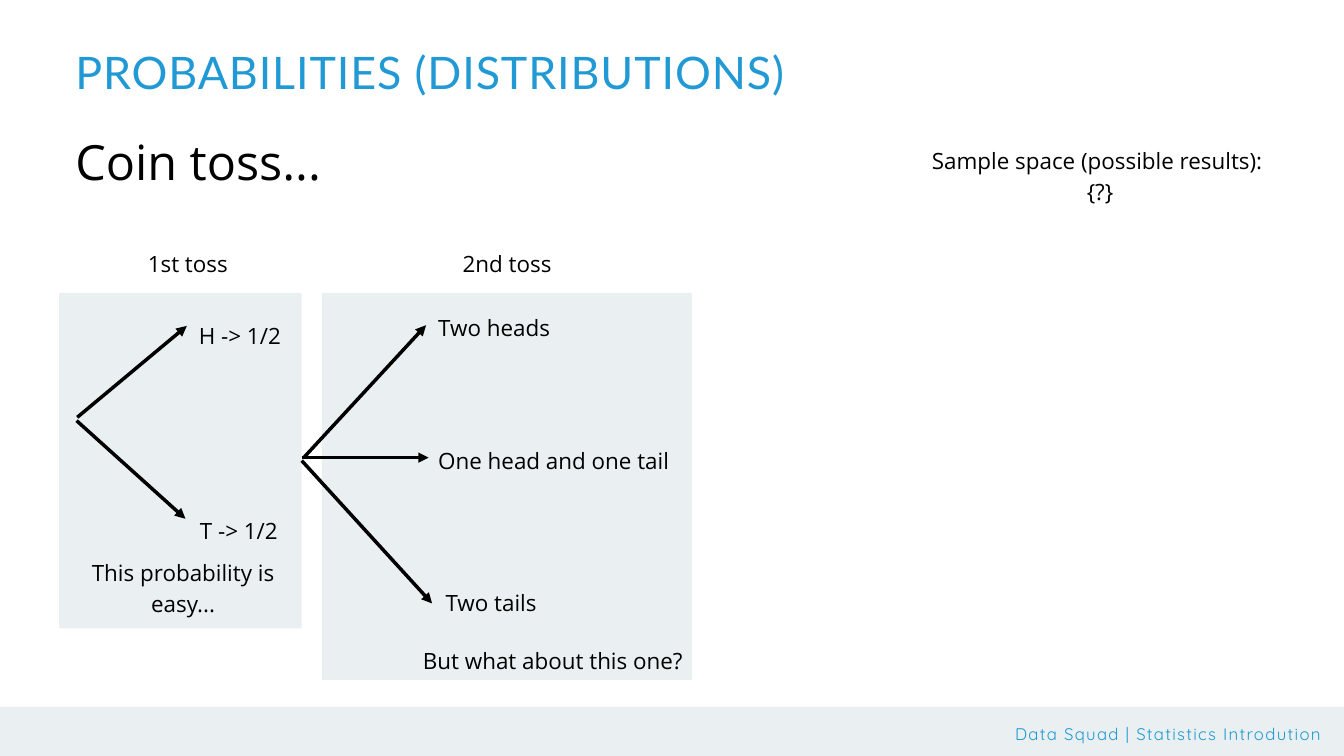
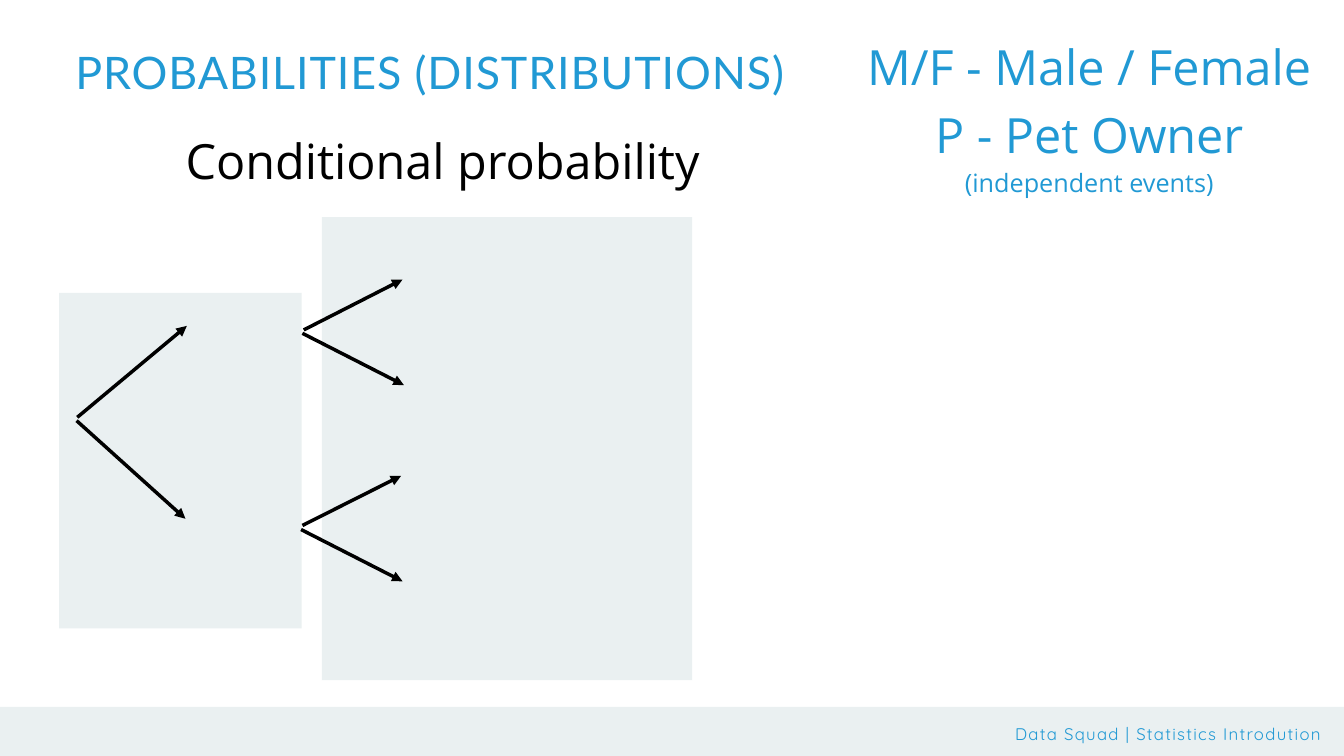
from lxml import etree
from pptx import Presentation
from pptx import util as u
from pptx.dml.color import RGBColor
from pptx.enum import shapes, text
from pptx.oxml.ns import qn

COLORS = {"accent": "2199D4", "panel": "EAF0F1", "ink": "000000", "page": "FFFFFF"}
TITLE = "PROBABILITIES (DISTRIBUTIONS)"
FOOTER = "Data Squad | Statistics Introdution"
LEFT, CENTER, RIGHT = text.PP_ALIGN.LEFT, text.PP_ALIGN.CENTER, text.PP_ALIGN.RIGHT
FIRST_PANEL = (0.88, 4.36, 3.61, 4.99)
FIRST_BRANCHES = [((1.15, 6.21), (2.78, 4.85)), ((1.14, 6.26), (2.76, 7.72))]


def rgb(name):
    """Return the palette colour with this name."""
    return RGBColor.from_string(COLORS[name])


def place(sp, box):
    """Move and size a shape, in inches."""
    sp.left, sp.top, sp.width, sp.height = map(u.Inches, box)


def format_paragraph(p, size, font, color, align, leading, spacing=0):
    """Format a paragraph and its runs, with exact line spacing."""
    p.alignment = align
    p.line_spacing = u.Pt(leading)
    p.space_before = u.Pt(0)
    for r in p.runs:
        r.font.size = u.Pt(size)
        r.font.name = font
        r.font.color.rgb = rgb(color)
        if spacing:
            r.font._element.set("spc", str(round(spacing * 100)))


def prepare_frame(tf):
    """Make a text frame wrap from the top without margins."""
    tf.word_wrap = True
    tf.margin_left = tf.margin_right = tf.margin_top = tf.margin_bottom = 0
    tf.vertical_anchor = text.MSO_ANCHOR.TOP
    tf.auto_size = text.MSO_AUTO_SIZE.SHAPE_TO_FIT_TEXT


def add_text(s, box, content, size=24, font="Open Sans", color="ink",
             align=CENTER, leading=None, spacing=0):
    """Add a text box and return its text frame."""
    sp = s.shapes.add_textbox(*map(u.Inches, box))
    tf = sp.text_frame
    prepare_frame(tf)
    tf.text = content
    for p in tf.paragraphs:
        format_paragraph(p, size, font, color, align, leading or size * 1.4, spacing)
    return tf


def add_panel(s, box):
    """Add a plain grey rectangle."""
    sp = s.shapes.add_shape(shapes.MSO_SHAPE.RECTANGLE, *map(u.Inches, box))
    sp.shadow.inherit = False
    sp.fill.solid()
    sp.fill.fore_color.rgb = rgb("panel")
    sp.line.fill.background()
    return sp


def add_arrow(s, start, end):
    """Add a straight arrow between two points and return it."""
    cx = s.shapes.add_connector(shapes.MSO_CONNECTOR.STRAIGHT,
                                *map(u.Inches, start + end))
    cx.line.color.rgb = rgb("ink")
    cx.line.width = u.Pt(3.75)
    etree.SubElement(cx.line._get_or_add_ln(), qn("a:tailEnd"), type="triangle")
    etree.SubElement(cx._element.spPr, qn("a:effectLst"))
    return cx


def add_slide(prs):
    """Add a slide with the shared title, band and footer."""
    s = prs.slides.add_slide(prs.slide_layouts[5])
    s.background.fill.solid()
    s.background.fill.fore_color.rgb = rgb("page")
    add_panel(s, (-0.27, 10.52, 20.56, 0.99))
    add_text(s, (7.35, 10.72, 12.31, 0.33), FOOTER, 18, "Quicksand", "accent",
             RIGHT, spacing=1.4)
    title = s.shapes.title
    place(title, (1.12, 0.67, 12.97, 0.79))
    prepare_frame(title.text_frame)
    title.text_frame.text = TITLE
    format_paragraph(title.text_frame.paragraphs[0], 48, "Lato", "accent",
                     LEFT, 57.6, spacing=1)
    return s


def add_tree(s, second_panel, branches):
    """Add both stages of a probability tree and return the first panel."""
    first = add_panel(s, FIRST_PANEL)
    add_panel(s, second_panel)
    for start, end in FIRST_BRANCHES + branches:
        add_arrow(s, start, end)
    return first


def add_coin_slide(prs):
    """Build the coin toss slide."""
    s = add_slide(prs)
    first = add_tree(s, (4.79, 4.36, 5.51, 5.76), [
        ((4.49, 6.81), (6.38, 6.81)),
        ((4.52, 6.81), (6.34, 4.84)),
    ])
    add_arrow(s, (4.5, 6.86), (6.43, 8.98)).begin_connect(first, 3)
    add_text(s, (1.12, 1.82, 3.66, 0.97), "Coin toss...", 52)
    for box, content, align in [
        ((12.96, 2.12, 6.82, 0.89), "Sample space (possible results): \n{?}", CENTER),
        ((1.19, 3.66, 3.21, 0.43), "1st toss", CENTER),
        ((4.79, 3.66, 5.51, 0.43), "2nd toss", CENTER),
        ((2.77, 4.72, 1.6, 0.43), "H -> 1/2", CENTER),
        ((2.83, 7.63, 1.45, 0.43), "T -> 1/2", CENTER),
        ((1.12, 8.25, 3.21, 0.89), "This probability is easy...", CENTER),
        ((6.52, 4.61, 2.18, 0.43), "Two heads", LEFT),
        ((6.52, 6.58, 3.49, 0.43), "One head and one tail", LEFT),
        ((6.63, 8.7, 2.18, 0.43), "Two tails", LEFT),
        ((5.62, 9.57, 4.54, 0.43), "But what about this one?", RIGHT),
    ]:
        add_text(s, box, content, align=align)


def add_conditional_slide(prs):
    """Build the conditional probability slide."""
    s = add_slide(prs)
    add_text(s, (1.12, 1.8, 10.94, 0.97), "Conditional probability", 52)
    add_tree(s, (4.79, 3.23, 5.51, 6.89), [
        ((4.52, 4.91), (5.99, 4.16)),
        ((4.5, 4.96), (6.01, 5.73)),
        ((4.5, 7.82), (5.97, 7.08)),
        ((4.48, 7.88), (5.99, 8.65)),
    ])
    tf = add_text(s, (12.66, 0.4, 7.1, 2.54),
                  "M/F - Male / Female\nP - Pet Owner\n(independent events)",
                  52, color="accent")
    format_paragraph(tf.paragraphs[-1], 27, "Open Sans", "accent", CENTER, 37.8)


def main():
    """Build and save the presentation."""
    prs = Presentation()
    prs.slide_width, prs.slide_height = u.Inches(20), u.Inches(11.25)
    add_coin_slide(prs)
    add_conditional_slide(prs)
    prs.save("out.pptx")


if __name__ == "__main__":
    main()
